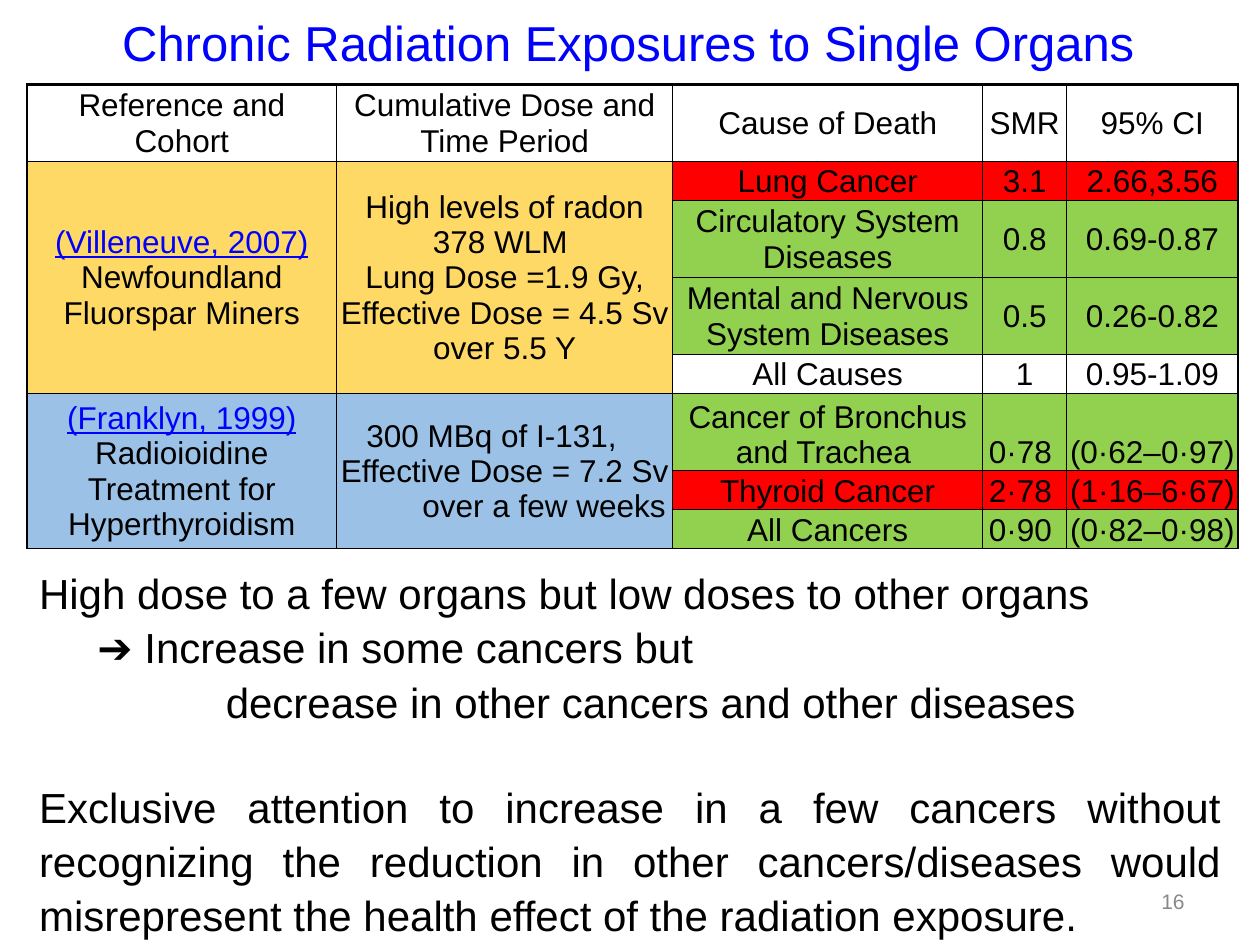
import dataclasses
import typing

import lxml.etree
import pptx
import pptx.dml.color
import pptx.enum.text
import pptx.oxml.ns
import pptx.util

Pt = pptx.util.Pt
qn = pptx.oxml.ns.qn
Align = pptx.enum.text.PP_ALIGN
Anchor = pptx.enum.text.MSO_ANCHOR
AutoSize = pptx.enum.text.MSO_AUTO_SIZE


@dataclasses.dataclass(frozen=True)
class Theme:
    font: str = "Arial"
    text: str = "000000"
    accent: str = "0000FF"
    muted: str = "898989"
    increase: str = "FF0000"
    decrease: str = "92D050"
    miners: str = "FFD966"
    patients: str = "9BC2E6"
    title_size: float = 28
    body_size: float = 24
    table_size: float = 18
    number_size: float = 12
    outer_border: float = 1.5
    inner_border: float = 1


THEME = Theme()


class Line(typing.NamedTuple):
    text: str
    link: str = ""
    left: float = 0
    right: float = 0
    before: float = 0


class Outcome(typing.NamedTuple):
    cause: str
    ratio: str
    interval: str
    fill: typing.Optional[str]
    height: float


class Study(typing.NamedTuple):
    cohort: list[Line]
    dose: list[Line]
    fill: str
    anchor: Anchor
    outcomes: list[Outcome]


SINGLE, DOUBLE = 21.9, 43.9
COLUMN_WIDTHS = [177, 192, 177.2, 48, 97.8]
HEADINGS = ["Reference and Cohort", "Cumulative Dose and Time Period",
            "Cause of Death", "SMR", "95% CI"]
STUDIES = [
    Study(
        [Line(" Newfoundland Fluorspar Miners", link="(Villeneuve, 2007)")],
        [Line("High levels of radon"), Line("378 WLM "),
         Line("Lung Dose =1.9 Gy, Effective Dose = 4.5 Sv over 5.5 Y")],
        THEME.miners, Anchor.MIDDLE,
        [Outcome("Lung Cancer", "3.1", "2.66,3.56", THEME.increase, SINGLE),
         Outcome("Circulatory System Diseases", "0.8", "0.69-0.87", THEME.decrease, DOUBLE),
         Outcome("Mental and Nervous System Diseases", "0.5", "0.26-0.82",
                 THEME.decrease, DOUBLE),
         Outcome("All Causes", "1", "0.95-1.09", None, SINGLE)]),
    Study(
        [Line("Radioioidine Treatment for Hyperthyroidism", link="(Franklyn, 1999) ")],
        [Line("300 MBq of I-131,", right=15), Line("Effective Dose = 7.2 Sv"),
         Line("over a few weeks", left=45)],
        THEME.patients, Anchor.BOTTOM,
        [Outcome("Cancer of Bronchus and Trachea ", "0·78 ", "(0·62–0·97)",
                 THEME.decrease, DOUBLE),
         Outcome("Thyroid Cancer", "2·78 ", "(1·16–6·67) ", THEME.increase, SINGLE),
         Outcome("All Cancers", "0·90 ", "(0·82–0·98) ", THEME.decrease, SINGLE)]),
]
CONCLUSIONS = [
    Line("High dose to a few organs but low doses to other organs"),
    Line("➔ Increase in some cancers but ", left=33.4),
    Line("decrease in other cancers and other diseases", left=106.7),
    Line("Exclusive attention to increase in a few cancers without recognizing the "
         "reduction in other cancers/diseases would misrepresent the health effect "
         "of the radiation exposure.", before=28.9),
]


def write(para, text: str, *, size: float, color: str = THEME.text,
          align: Align = Align.CENTER, underline: bool = False) -> None:
    para.alignment = align
    span = para.add_run()
    span.text = text
    span.font.name = THEME.font
    span.font.size = Pt(size)
    span.font.underline = underline
    span.font.color.rgb = pptx.dml.color.RGBColor.from_string(color)


def next_paragraph(frame, index: int):
    return frame.paragraphs[0] if index == 0 else frame.add_paragraph()


def set_margins(para, line: Line) -> None:
    properties = para._p.get_or_add_pPr()
    properties.set("marL", str(Pt(line.left)))
    properties.set("marR", str(Pt(line.right)))
    properties.set("indent", "0")


def place(box, left: float, top: float, width: float, height: float) -> None:
    box.left, box.top, box.width, box.height = map(Pt, (left, top, width, height))


def draw_border(cell, position: int, side: str, width: float) -> None:
    border = lxml.etree.Element(qn(f"a:ln{side}"), w=str(Pt(width)))
    fill = lxml.etree.SubElement(border, qn("a:solidFill"))
    lxml.etree.SubElement(fill, qn("a:srgbClr"), val=THEME.text)
    cell._tc.get_or_add_tcPr().insert(position, border)


def format_cell(cell, fill: typing.Optional[str], anchor: Anchor = Anchor.MIDDLE) -> None:
    cell.vertical_anchor = anchor
    cell.margin_left = cell.margin_right = cell.margin_top = Pt(0.72)
    cell.margin_bottom = Pt(0)
    if fill:
        cell.fill.solid()
        cell.fill.fore_color.rgb = pptx.dml.color.RGBColor.from_string(fill)
    else:
        cell.fill.background()


def fill_cell(cell, lines: list[Line]) -> None:
    for index, line in enumerate(lines):
        para = next_paragraph(cell.text_frame, index)
        set_margins(para, line)
        if line.link:
            write(para, line.link, size=THEME.table_size, color=THEME.accent, underline=True)
        write(para, line.text, size=THEME.table_size)


def draw_table(page) -> None:
    heights = [DOUBLE] + [outcome.height for study in STUDIES for outcome in study.outcomes]
    table = page.shapes.add_table(
        len(heights), len(COLUMN_WIDTHS), Pt(15.4), Pt(48.3),
        Pt(sum(COLUMN_WIDTHS)), Pt(sum(heights))).table
    table.first_row = table.horz_banding = False
    for column, width in zip(table.columns, COLUMN_WIDTHS):
        column.width = Pt(width)
    for row, height in zip(table.rows, heights):
        row.height = Pt(height)

    for column, heading in enumerate(HEADINGS):
        format_cell(table.cell(0, column), None)
        fill_cell(table.cell(0, column), [Line(heading)])

    first = 1
    for study in STUDIES:
        last = first + len(study.outcomes) - 1
        for column, lines in enumerate((study.cohort, study.dose)):
            for row in range(first, last + 1):
                format_cell(table.cell(row, column), study.fill)
            table.cell(first, column).merge(table.cell(last, column))
            fill_cell(table.cell(first, column), lines)
        for row, outcome in enumerate(study.outcomes, first):
            for column, text in enumerate(outcome[:3], 2):
                format_cell(table.cell(row, column), outcome.fill, study.anchor)
                fill_cell(table.cell(row, column), [Line(text)])
        first = last + 1

    for row in range(len(heights)):
        for column in range(len(COLUMN_WIDTHS)):
            outer = {"L": column == 0, "R": column == len(COLUMN_WIDTHS) - 1,
                     "T": row == 0, "B": False}
            for position, (side, is_outer) in enumerate(outer.items()):
                width = THEME.outer_border if is_outer else THEME.inner_border
                draw_border(table.cell(row, column), position, side, width)


def draw_title(page) -> None:
    title = page.shapes.title
    place(title, 15.8, 5.8, 686.2, 36)
    title.text_frame.auto_size = AutoSize.NONE
    title.text_frame.vertical_anchor = Anchor.MIDDLE
    write(title.text_frame.paragraphs[0], "Chronic Radiation Exposures to Single Organs",
          size=THEME.title_size, color=THEME.accent)


def draw_conclusions(page) -> None:
    body = page.placeholders[1]
    place(body, 15.1, 318.2, 689.8, 211)
    body.text_frame.auto_size = AutoSize.SHAPE_TO_FIT_TEXT
    body.text_frame.vertical_anchor = Anchor.TOP
    for index, line in enumerate(CONCLUSIONS):
        para = next_paragraph(body.text_frame, index)
        set_margins(para, line)
        para.line_spacing = 1.08
        para.space_before = Pt(line.before)
        lxml.etree.SubElement(para._p.get_or_add_pPr(), qn("a:buNone"))
        write(para, line.text, size=THEME.body_size, align=Align.JUSTIFY)


def draw_page_number(page) -> None:
    box = page.shapes.add_textbox(Pt(516), Pt(500.5), Pt(168), Pt(28.8))
    box.text_frame.word_wrap = True
    box.text_frame.vertical_anchor = Anchor.MIDDLE
    write(box.text_frame.paragraphs[0], "16", size=THEME.number_size,
          color=THEME.muted, align=Align.RIGHT)


def main() -> None:
    deck = pptx.Presentation()
    deck.slide_width, deck.slide_height = Pt(720), Pt(540)
    page = deck.slides.add_slide(deck.slide_layouts[1])
    draw_title(page)
    draw_page_number(page)
    draw_table(page)
    draw_conclusions(page)
    deck.save("out.pptx")


if __name__ == "__main__":
    main()
